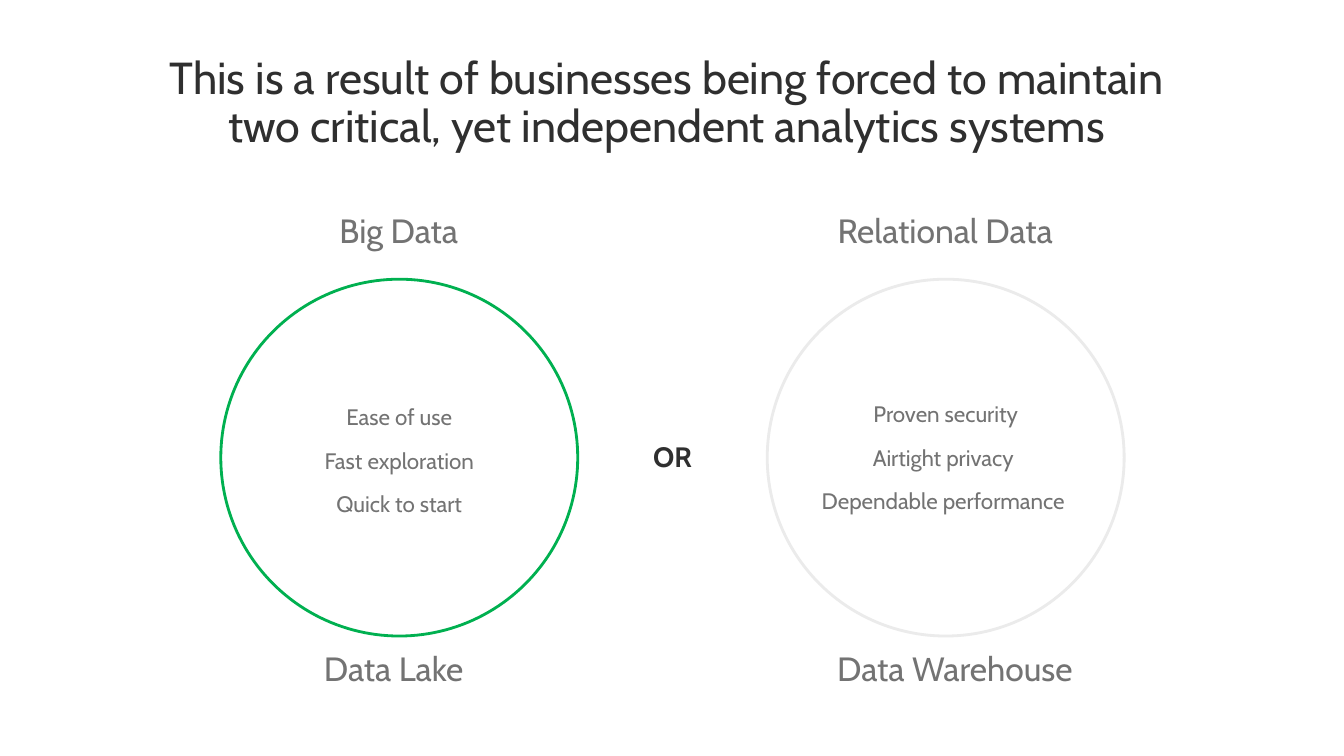
from pptx import Presentation
from pptx.dml.color import RGBColor
from pptx.enum.shapes import MSO_SHAPE
from pptx.enum.text import MSO_ANCHOR, PP_ALIGN
from pptx.util import Inches, Pt

DARK = RGBColor(0x2F, 0x2F, 0x2F)
GRAY = RGBColor(0x73, 0x73, 0x73)
GREEN = RGBColor(0x00, 0xB0, 0x50)
PALE = RGBColor(0xEB, 0xEB, 0xEB)

CIRCLE_TOP = 2.77
CIRCLE_SIZE = 3.54
TITLE_MARGINS = (0.1, 0.05)
LABEL_MARGINS = (0.2, 0.16)
NO_MARGINS = (0, 0)


class SlideBuilder:
    font_name = "Cabin"

    def __init__(self, page):
        self.page = page

    def text(self, lines, left, top, width, height, size, color=GRAY, bold=False,
             margins=LABEL_MARGINS, anchor=MSO_ANCHOR.TOP, spacing=0.9, after=0):
        """Add a centred text box with one paragraph for each line."""
        box = self.page.shapes.add_textbox(
            Inches(left), Inches(top), Inches(width), Inches(height))
        frame = box.text_frame
        frame.word_wrap = True
        frame.vertical_anchor = anchor
        frame.margin_left = frame.margin_right = Inches(margins[0])
        frame.margin_top = frame.margin_bottom = Inches(margins[1])
        for index, line in enumerate(lines):
            para = frame.add_paragraph() if index else frame.paragraphs[0]
            para.text = line
            para.alignment = PP_ALIGN.CENTER
            para.line_spacing = spacing
            para.space_after = Pt(after)
            para.font.name = self.font_name
            para.font.size = Pt(size)
            para.font.bold = bold
            para.font.color.rgb = color

    def label(self, words, left, top, width):
        self.text([words], left, top, width, 0.69, 24)

    def benefits(self, lines, left, top, width):
        self.text(lines, left, top, width, 1.63, 16, margins=NO_MARGINS,
                  anchor=MSO_ANCHOR.MIDDLE, spacing=1.0, after=12)

    def circle(self, left, color):
        ring = self.page.shapes.add_shape(
            MSO_SHAPE.OVAL, Inches(left), Inches(CIRCLE_TOP),
            Inches(CIRCLE_SIZE), Inches(CIRCLE_SIZE))
        ring.shadow.inherit = False
        ring.fill.background()
        ring.line.color.rgb = color
        ring.line.width = Pt(2)


def main():
    deck = Presentation()
    deck.slide_width = Inches(13.33)
    deck.slide_height = Inches(7.5)
    builder = SlideBuilder(deck.slides.add_slide(deck.slide_layouts[6]))

    builder.text(["This is a result of businesses being forced to maintain \n"
                  "two critical, yet independent analytics systems "],
                 0.64, 0.5, 12.05, 1.14, 32, DARK, margins=TITLE_MARGINS)

    builder.label("Big Data", 2.89, 1.97, 2.13)
    builder.circle(2.19, GREEN)
    builder.benefits(["Ease of use", "Fast exploration", "Quick to start"],
                     2.19, 3.75, 3.54)
    builder.label("Data Lake", 2.84, 6.31, 2.13)

    builder.text(["OR"], 5.61, 4.25, 2.12, 0.63, 20, DARK, bold=True, after=6)

    builder.label("Relational Data", 7.88, 1.97, 2.99)
    builder.circle(7.61, PALE)
    builder.benefits(["Proven security", "Airtight privacy ", "Dependable performance "],
                     7.77, 3.72, 3.22)
    builder.label("Data Warehouse", 7.96, 6.31, 3.02)

    deck.save("out.pptx")


if __name__ == "__main__":
    main()
